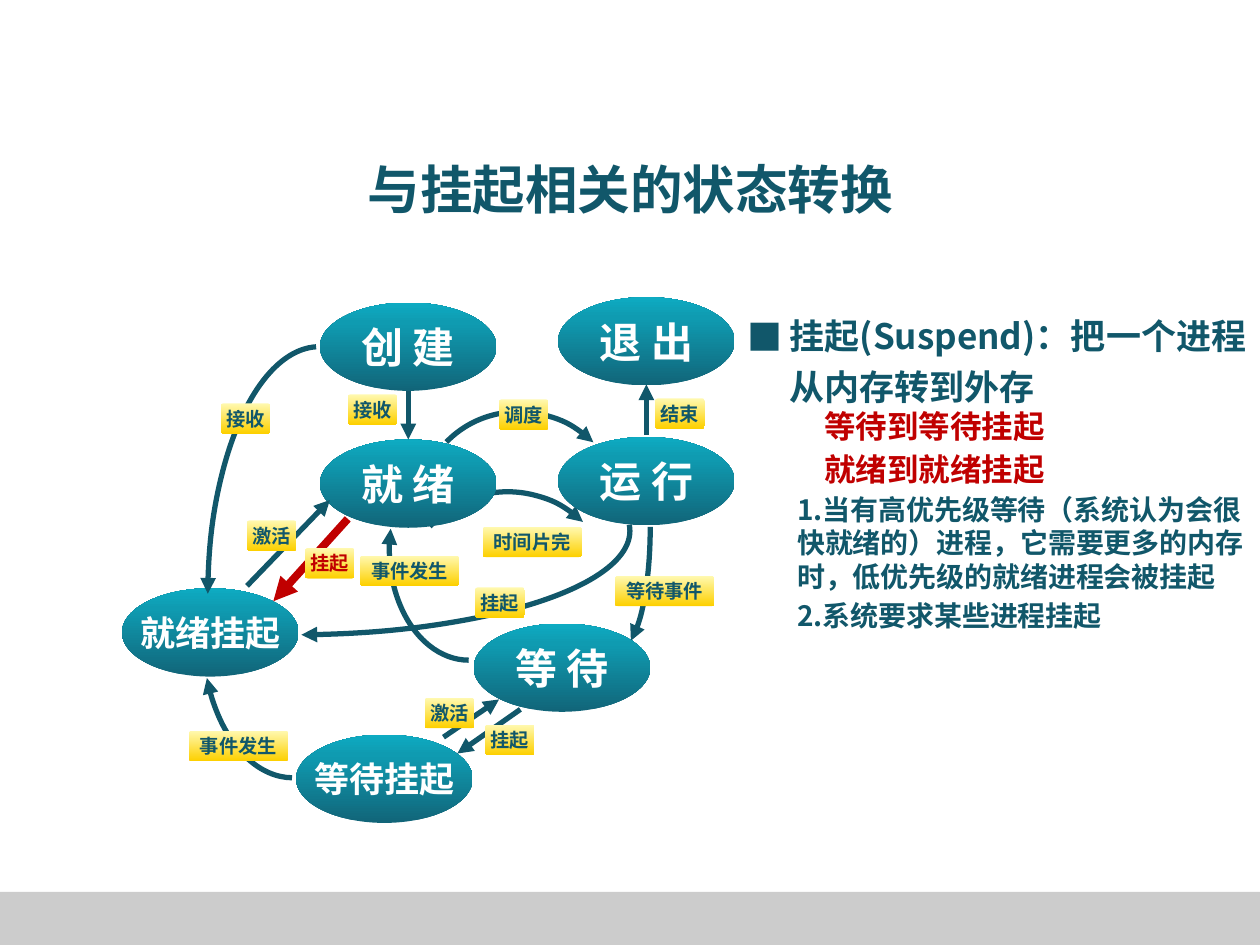
import lxml.etree
import pptx
import pptx.dml.color
import pptx.enum.shapes
import pptx.enum.text
import pptx.oxml.ns
import pptx.util

Cm, Pt = pptx.util.Cm, pptx.util.Pt
SHAPE = pptx.enum.shapes.MSO_SHAPE
ALIGN = pptx.enum.text.PP_ALIGN
ANCHOR = pptx.enum.text.MSO_ANCHOR
qn = pptx.oxml.ns.qn

FONT = "Noto Sans CJK SC"
COLORS = {"ink": "11576A", "red": "C00000", "white": "FFFFFF", "foot": "CCCCCC",
          "deep": "116579", "mid": "0F9BB1", "light": "0EABC2",
          "pale": "FFF9B1", "gold": "FDD000"}
OVAL = [(0, "deep"), (77, "mid"), (100, "light")]
TAG = [(0, "pale"), (100, "gold")]


def color(name):
    return pptx.dml.color.RGBColor.from_string(COLORS[name])


def sub(parent, tag, **attrs):
    return lxml.etree.SubElement(parent, qn(tag), attrs)


def add_run(para, text, size, name):
    run = para.add_run()
    run.text = text
    font = run.font
    font.name, font.size, font.bold = FONT, Pt(size), True
    font.color.rgb = color(name)
    sub(run._r.get_or_add_rPr(), "a:ea", typeface=FONT)


def add_text(slide, box, lines, size, name="ink"):
    """Put one paragraph per line in a wrapping text box."""
    frame = slide.shapes.add_textbox(*map(Cm, box)).text_frame
    frame.word_wrap = True
    for i, line in enumerate(lines):
        para = frame.paragraphs[0] if i == 0 else frame.add_paragraph()
        if i:
            para.space_before = Pt(3)
        add_run(para, line, size, name)
    return frame


def add_bullet(para, mark, indent):
    props = para._p.get_or_add_pPr()
    props.set("marL", str(Cm(indent)))
    props.set("indent", str(-Cm(indent)))
    sub(props, "a:buFont", typeface="Noto Sans CJK JP")
    sub(props, "a:buChar", char=mark)


def shade(shape, stops, angle):
    """Fill with a linear gradient, angle clockwise in degrees."""
    grad = lxml.etree.Element(qn("a:gradFill"), rotWithShape="1")
    group = sub(grad, "a:gsLst")
    for place, name in stops:
        stop = sub(group, "a:gs", pos=str(place * 1000))
        sub(stop, "a:srgbClr", val=COLORS[name])
    sub(grad, "a:lin", ang=str(angle * 60000), scaled="0")
    shape._element.spPr.find(qn("a:prstGeom")).addnext(grad)


def add_node(slide, kind, box, text, size, stops, angle, name):
    """Add a gradient shape with centred text."""
    shape = slide.shapes.add_shape(kind, *map(Cm, box))
    shape.shadow.inherit = False
    shape.line.fill.background()
    shade(shape, stops, angle)
    frame = shape.text_frame
    frame.word_wrap = False
    frame.vertical_anchor = ANCHOR.MIDDLE
    frame.margin_left = frame.margin_right = 0
    frame.margin_top = frame.margin_bottom = 0
    frame.paragraphs[0].alignment = ALIGN.CENTER
    add_run(frame.paragraphs[0], text, size, name)
    return shape


def set_line(line, end, width=3, name="ink"):
    line.color.rgb = color(name)
    line.width = Pt(width)
    sub(line._get_or_add_ln(), "a:" + end, type="triangle")


def add_arc(slide, box, turn=0, flip="", angles=None):
    """Add a curved arrow; flipped arcs point at their start."""
    arc = slide.shapes.add_shape(SHAPE.ARC, *map(Cm, box))
    arc.shadow.inherit = False
    arc.fill.background()
    arc.rotation = turn
    for i, angle in enumerate(angles or ()):
        arc.adjustments[i] = angle * 0.6
    for axis in flip:
        arc._element.spPr.xfrm.set("flip" + axis, "1")
    set_line(arc.line, "headEnd" if flip else "tailEnd")


def add_arrow(slide, ends, width=3, name="ink"):
    kind = pptx.enum.shapes.MSO_CONNECTOR.STRAIGHT
    arrow = slide.shapes.add_connector(kind, *map(Cm, ends))
    set_line(arrow.line, "tailEnd", width, name)
    sub(arrow._element.spPr, "a:effectLst")


def add_states(slide):
    for text, x, y in [("创 建", 6.45, 6.1), ("就 绪", 6.45, 8.86),
                       ("运 行", 11.25, 8.81), ("等 待", 9.55, 12.57),
                       ("退 出", 11.25, 5.99), ("就绪挂起", 2.46, 11.86),
                       ("等待挂起", 5.97, 14.81)]:
        size = 24 if " " in text else 20
        add_node(slide, SHAPE.OVAL, (x, y, 3.56, 1.78), text, size, OVAL, 270, "white")


def add_moves(slide):
    add_arc(slide, (8.48, 8.26, 4.11, 4.27), turn=314)
    add_arc(slide, (-0.99, 8.61, 13.69, 4.19), angles=(358.96, 83.95))
    add_arc(slide, (7.85, 8.84, 3.2, 4.47), flip="H", angles=(345.24, 90))
    add_arc(slide, (4.09, 9.96, 3.63, 5.72), flip="H", angles=(26.13, 89.63))
    add_arc(slide, (4.19, 6.99, 4.5, 10.03), flip="HV", angles=(0.9, 89.23))
    for ends in [(8.23, 7.88, 8.23, 8.86), (13.03, 8.76, 13.03, 7.75),
                 (10.49, 14.3, 9.22, 15.19), (8.94, 14.86, 10.06, 14.1),
                 (4.98, 11.81, 6.65, 10.08)]:
        add_arrow(slide, ends)
    add_arrow(slide, (7.01, 10.46, 5.51, 12.12), 4.5, "red")


def add_tags(slide):
    for text, x, y, name in [
            ("挂起", 9.58, 11.84, "ink"), ("接收", 4.45, 8.13, "ink"),
            ("事件发生", 3.81, 14.73, "ink"), ("接收", 7.01, 7.95, "ink"),
            ("激活", 4.98, 10.49, "ink"), ("挂起", 6.15, 11.05, "red"),
            ("事件发生", 7.26, 11.2, "ink"), ("激活", 8.56, 14.07, "ink"),
            ("挂起", 9.78, 14.61, "ink"), ("等待事件", 12.4, 11.61, "ink"),
            ("时间片完", 9.73, 10.62, "ink"), ("调度", 10.06, 8.05, "ink"),
            ("结束", 13.21, 8.03, "ink")]:
        box = (x, y, len(text) * 0.5, 0.61)
        tag = add_node(slide, SHAPE.ROUNDED_RECTANGLE, box, text, 11, TAG, 90, name)
        tag.adjustments[0] = 0.1


def add_notes(slide):
    frame = add_text(slide, (14.81, 6.05, 10.59, 1.19),
                     ["挂起(Suspend)：把一个进程从内存转到外存"], 20)
    add_bullet(frame.paragraphs[0], "■", 0.86)
    frame.paragraphs[0].line_spacing = 1.2
    for i, line in enumerate(["等待到等待挂起", "就绪到就绪挂起"]):
        add_text(slide, (16.37, 8.08 + i * 0.86, 8.9, 0.86), [line], 18, "red")
    add_text(slide, (15.82, 9.8, 9.68, 2.18),
             ["1.当有高优先级等待（系统认为会很快就绪的）进程，它需要更多的内存时，低优先级的就绪进程会被挂起",
              "2.系统要求某些进程挂起"], 16)


def main():
    deck = pptx.Presentation()
    deck.slide_width, deck.slide_height = Cm(25.4), Cm(19.05)
    slide = deck.slides.add_slide(deck.slide_layouts[6])

    # Footer band
    band = slide.shapes.add_shape(SHAPE.RECTANGLE, 0, Cm(17.98), Cm(25.4), Cm(1.07))
    band.shadow.inherit = False
    band.fill.solid()
    band.fill.fore_color.rgb = color("foot")
    band.line.fill.background()

    # Title
    title = add_text(slide, (1.91, 2.64, 21.59, 2.34), ["与挂起相关的状态转换"], 30)
    title.vertical_anchor = ANCHOR.MIDDLE
    title.paragraphs[0].alignment = ALIGN.CENTER

    # State diagram: two arcs run behind the states
    add_arc(slide, (11.84, 8.13, 1.27, 4.98), angles=(0.13, 83.91))
    add_arc(slide, (8.18, 9.88, 4.24, 4.37), turn=314, angles=(267.64, 359.27))
    add_states(slide)
    add_moves(slide)
    add_tags(slide)

    # Explanation
    add_notes(slide)
    deck.save("out.pptx")


if __name__ == "__main__":
    main()
